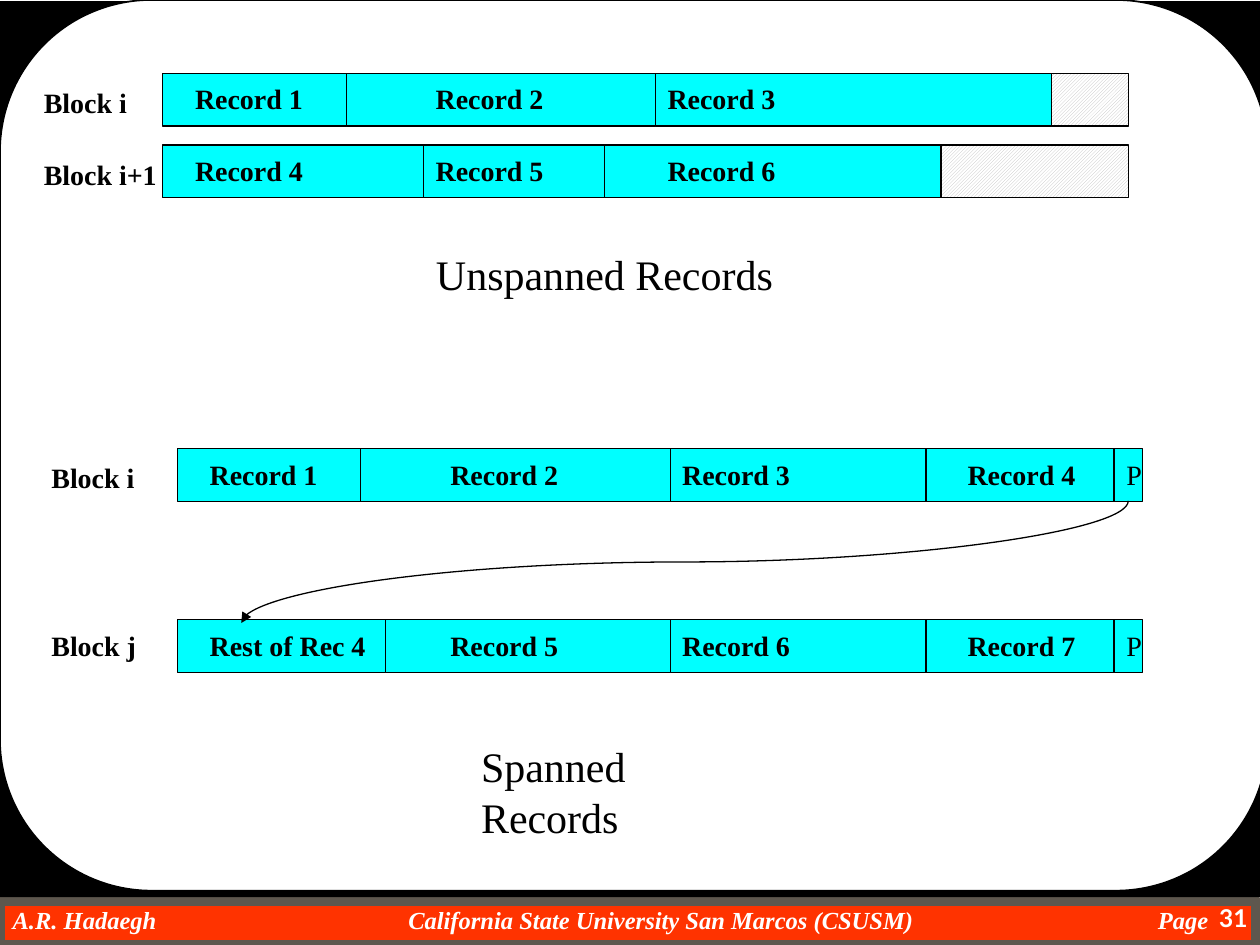
"""Build a slide that compares unspanned and spanned records in disk blocks."""
from dataclasses import dataclass
from itertools import pairwise

from lxml.etree import SubElement
from pptx import Presentation
from pptx.dml.color import RGBColor
from pptx.enum.dml import MSO_PATTERN
from pptx.enum.shapes import MSO_CONNECTOR, MSO_SHAPE
from pptx.enum.text import MSO_ANCHOR, MSO_AUTO_SIZE, PP_ALIGN
from pptx.oxml.ns import qn
from pptx.shapes.autoshape import Shape
from pptx.shapes.connector import Connector
from pptx.slide import Slide
from pptx.util import Pt

COLORS = {
    "black": "000000",
    "white": "FFFFFF",
    "cyan": "00FFFF",
    "hatch": "C0C0C0",
    "red": "FF3300",
    "frame": "5E574E",
}
SERIF = "Times New Roman"
HIGH = 30.2
INDENTS = (11.5, 149, 281.5, 444.5)
SPLIT = 636.5


@dataclass
class Block:
    name: str
    spot: tuple[float, float]
    wide: float
    top: float
    edges: tuple[float, ...]
    records: tuple[str, ...]
    spans: bool


BLOCKS = (
    Block("Block i", (18, 45.4), 62, 41.8, (92.9, 198, 374.4, 601, 645.1),
          ("Record 1", "Record 2", "Record 3"), False),
    Block("Block i+1", (18, 86.4), 79.2, 82.8, (92.9, 241.9, 345.6, 537.8, 645.1),
          ("Record 4", "Record 5", "Record 6"), False),
    Block("Block i", (22.3, 259.9), 62, 256.3, (101.3, 206.2, 383, 529.2, 653),
          ("Record 1", "Record 2", "Record 3", "Record 4"), True),
    Block("Block j", (22.3, 355.7), 63.4, 354.2, (101.3, 220.3, 383, 529.2, 653),
          ("Rest of Rec 4", "Record 5", "Record 6", "Record 7"), True),
)


def tint(name: str) -> RGBColor:
    return RGBColor.from_string(COLORS[name])


def box(slide: Slide, kind: MSO_SHAPE, area: tuple[float, ...], fill: str,
        line: str = "", weight: float = 0.75) -> Shape:
    shape = slide.shapes.add_shape(kind, *map(Pt, area))
    shape.shadow.inherit = False
    if fill == "hatch":
        shape.fill.patterned()
        shape.fill.pattern = MSO_PATTERN.DARK_UPWARD_DIAGONAL
        shape.fill.fore_color.rgb = tint("hatch")
        shape.fill.back_color.rgb = tint("white")
    else:
        shape.fill.solid()
        shape.fill.fore_color.rgb = tint(fill)
    if line:
        shape.line.color.rgb = tint(line)
        shape.line.width = Pt(weight)
    else:
        shape.line.fill.background()
    return shape


def style(shape: Shape, text: str, size: float, bold: bool = False,
          color: str = "black", face: str = SERIF) -> None:
    shape.text_frame.text = text
    para = shape.text_frame.paragraphs[0]
    para.alignment = PP_ALIGN.LEFT
    para.font.size, para.font.bold, para.font.name = Pt(size), bold, face
    para.font.color.rgb = tint(color)


def label(slide: Slide, text: str, area: tuple[float, ...], size: float = 16,
          bold: bool = True, color: str = "black", face: str = SERIF) -> Shape:
    shape = slide.shapes.add_textbox(*map(Pt, area))
    style(shape, text, size, bold, color, face)
    shape.text_frame.word_wrap = False
    return shape


def link(slide: Slide, kind: MSO_CONNECTOR, ends: tuple[float, ...]) -> Connector:
    line = slide.shapes.add_connector(kind, *map(Pt, ends))
    line.line.color.rgb = tint("black")
    line.line.width = Pt(0.75)
    SubElement(line.element.spPr, qn("a:effectLst"))
    return line


def footer(slide: Slide) -> None:
    parts = (("A.R. Hadaegh", 7.2, 90),
             ("California State University San Marcos (CSUSM)", 233.3, 290),
             ("Page", 661.7, 30))
    for text, left, wide in parts:
        part = label(slide, text, (left, 517, wide, 16.6), 14, color="white")
        part.text_frame.paragraphs[0].font.italic = True
        frame = part.text_frame
        frame.margin_left = frame.margin_right = 0
        frame.margin_top = frame.margin_bottom = 0


def draw(slide: Slide, block: Block) -> None:
    cells = list(pairwise(block.edges))
    for pos, (left, right) in enumerate(cells):
        fill = "cyan" if pos < len(block.records) else "hatch"
        box(slide, MSO_SHAPE.RECTANGLE, (left, block.top, right - left, HIGH),
            fill, "black")
    text_top = block.top + 1.5
    for text, indent in zip(block.records, INDENTS):
        wide = 108 if len(text) > 8 else 80
        label(slide, text, (block.edges[0] + indent, text_top, wide, 26.6))
    if block.spans:
        link(slide, MSO_CONNECTOR.STRAIGHT,
             (SPLIT, block.top, SPLIT, block.top + HIGH))
        part = label(slide, "P", (SPLIT, text_top, 49, 26.6), bold=False)
        part.text_frame.word_wrap = True
    label(slide, block.name, (*block.spot, block.wide, 26.6))


def arrow(slide: Slide) -> None:
    curve = link(slide, MSO_CONNECTOR.CURVE, (356.4, 67.7, 426.2, 574.6))
    curve.element.spPr.find(qn("a:xfrm")).set("rot", "5400000")
    SubElement(curve.line._get_or_add_ln(), qn("a:tailEnd"), type="triangle")


def main() -> None:
    deck = Presentation()
    deck.slide_width, deck.slide_height = Pt(720), Pt(540)
    slide = deck.slides.add_slide(deck.slide_layouts[5])

    box(slide, MSO_SHAPE.RECTANGLE, (0, 514.8, 717.8, 25.2), "red", "frame", 6)
    footer(slide)
    box(slide, MSO_SHAPE.RECTANGLE, (0, 0.7, 720, 512), "black")
    panel = box(slide, MSO_SHAPE.ROUNDED_RECTANGLE, (0, 0, 724.3, 509),
                "white", "black", 1)
    panel.adjustments[0] = 0.17
    page = label(slide, "31", (666, 512.6, 54, 27.4), 14, color="white", face="Lato")
    page.text_frame.word_wrap = True
    page.text_frame.paragraphs[0].alignment = PP_ALIGN.RIGHT

    for block in BLOCKS:
        draw(slide, block)
    arrow(slide)

    title = slide.shapes.title
    slide.shapes.element.append(title.element)
    title.left, title.top, title.width, title.height = map(Pt, (241.9, 138.2, 207.4, 36))
    style(title, "Unspanned Records", 24)
    title.text_frame.word_wrap = False
    title.text_frame.auto_size = MSO_AUTO_SIZE.NONE
    title.text_frame.vertical_anchor = MSO_ANCHOR.TOP
    label(slide, "Spanned Records", (267.8, 419.8, 181.4, 36), 24, False)
    deck.save("out.pptx")


if __name__ == "__main__":
    main()
